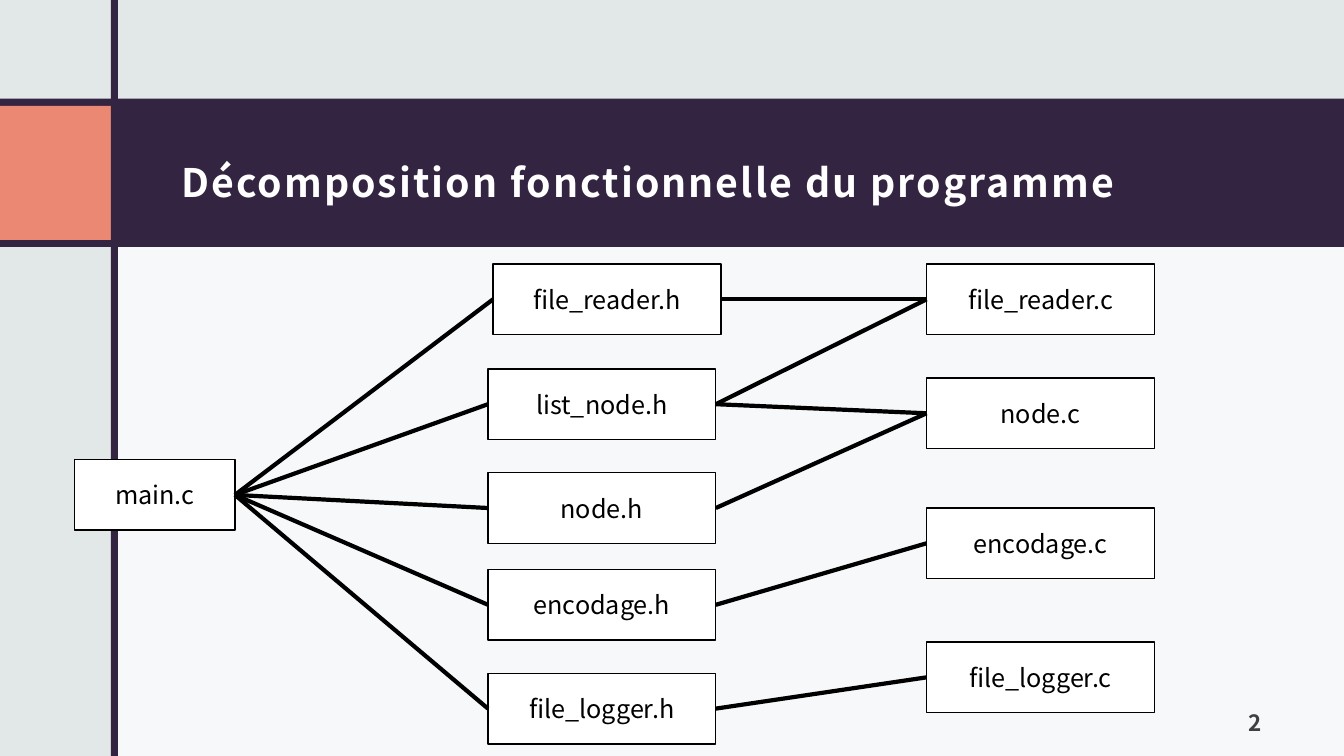
from dataclasses import dataclass

from lxml import etree
from pptx import Presentation
from pptx import util as u
from pptx.dml.color import RGBColor
from pptx.enum import shapes, text
from pptx.oxml.ns import qn


@dataclass(frozen=True)
class Theme:
    font: str = "Noto Sans CJK JP"
    back: str = "E2E7E8"
    white: str = "FFFFFF"
    purple: str = "332441"
    coral: str = "EA8873"
    grey: str = "404040"
    black: str = "000000"
    title_size: int = 28
    number_size: int = 16
    box_size: int = 18


THEME = Theme()
LEFT_SITE, RIGHT_SITE = 1, 3
BOX_HEIGHT = 0.7

# File name: left, top, width
FILES = {
    "main.c": (0.74, 4.56, 1.59),
    "file_reader.h": (4.89, 2.62, 2.26),
    "list_node.h": (4.84, 3.66, 2.26),
    "node.h": (4.84, 4.69, 2.26),
    "encodage.h": (4.84, 5.65, 2.26),
    "file_logger.h": (4.84, 6.68, 2.26),
    "file_reader.c": (9.19, 2.62, 2.26),
    "node.c": (9.19, 3.75, 2.26),
    "encodage.c": (9.19, 5.04, 2.26),
    "file_logger.c": (9.19, 6.37, 2.26),
}

# Each file and the files it is joined to on its right
LINKS = {
    "main.c": ["file_reader.h", "list_node.h", "node.h", "encodage.h", "file_logger.h"],
    "file_reader.h": ["file_reader.c"],
    "list_node.h": ["file_reader.c", "node.c"],
    "node.h": ["node.c"],
    "encodage.h": ["encodage.c"],
    "file_logger.h": ["file_logger.c"],
}


def rgb(color):
    return RGBColor.from_string(color)


def add_rect(s, left, top, width, height, color, alpha=None):
    sp = s.shapes.add_shape(shapes.MSO_SHAPE.RECTANGLE, u.Inches(left),
                            u.Inches(top), u.Inches(width), u.Inches(height))
    sp.shadow.inherit = False
    sp.fill.solid()
    sp.fill.fore_color.rgb = rgb(color)
    sp.line.fill.background()
    if alpha is not None:
        clr = sp.element.spPr.find(".//" + qn("a:srgbClr"))
        etree.SubElement(clr, qn("a:alpha")).set("val", str(alpha * 1000))
    return sp


def write(sp, words, size, color, align, anchor, bold=False, spacing=None):
    tf = sp.text_frame
    tf.text = words
    tf.word_wrap = True
    tf.auto_size = text.MSO_AUTO_SIZE.NONE
    tf.vertical_anchor = anchor
    p = tf.paragraphs[0]
    p.alignment = align
    r = p.runs[0]
    r.font.name = THEME.font
    r.font.size = u.Pt(size)
    r.font.bold = bold
    r.font.color.rgb = rgb(color)
    if spacing is not None:
        r.font._element.set("spc", str(int(spacing * 100)))
    return tf


def set_insets(tf):
    tf.margin_left = tf.margin_right = tf.margin_top = u.Inches(0.12)
    tf.margin_bottom = u.Inches(0.1)


def add_file_box(s, name, left, top, width):
    sp = add_rect(s, left, top, width, BOX_HEIGHT, THEME.white)
    sp.line.color.rgb = rgb(THEME.black)
    sp.line.width = u.Pt(1)
    write(sp, name, THEME.box_size, THEME.black, text.PP_ALIGN.CENTER,
          text.MSO_ANCHOR.MIDDLE)
    return sp


def add_link(s, start, end):
    c = s.shapes.add_connector(shapes.MSO_CONNECTOR.STRAIGHT, 0, 0, 0, 0)
    c.begin_connect(start, RIGHT_SITE)
    c.end_connect(end, LEFT_SITE)
    c.line.color.rgb = rgb(THEME.black)
    c.line.width = u.Pt(3)
    etree.SubElement(c.element.spPr, qn("a:effectLst"))


def add_title(s, words):
    sp = s.shapes.title
    sp.left, sp.top = u.Inches(1.68), u.Inches(1.14)
    sp.width, sp.height = u.Inches(10.95), u.Inches(1.13)
    tf = write(sp, words, THEME.title_size, THEME.white, text.PP_ALIGN.LEFT,
               text.MSO_ANCHOR.MIDDLE, bold=True, spacing=1.5)
    set_insets(tf)
    tf.paragraphs[0].line_spacing = 1.4
    # Bring the title in front of its band
    s.shapes.element.append(sp.element)


def add_number(s, number):
    sp = s.shapes.add_textbox(u.Inches(11.56), u.Inches(6.9),
                              u.Inches(1.07), u.Inches(0.5))
    tf = write(sp, number, THEME.number_size, THEME.grey, text.PP_ALIGN.RIGHT,
               text.MSO_ANCHOR.BOTTOM, bold=True, spacing=1.5)
    set_insets(tf)
    tf.paragraphs[0].space_after = u.Pt(6)


def main():
    prs = Presentation()
    prs.slide_width, prs.slide_height = u.Inches(13.33), u.Inches(7.5)
    s = prs.slides.add_slide(prs.slide_layouts[5])
    s.background.fill.solid()
    s.background.fill.fore_color.rgb = rgb(THEME.back)

    # Frame: content panel, title band, accent and vertical bar
    add_rect(s, 1.14, 2.33, 12.19, 5.17, THEME.white, alpha=75)
    add_rect(s, 0, 0.98, 13.33, 1.47, THEME.purple)
    add_title(s, "Décomposition fonctionnelle du programme")
    add_rect(s, 0, 1.05, 1.1, 1.33, THEME.coral)
    add_rect(s, 1.1, 0, 0.07, 7.5, THEME.purple)
    add_number(s, "2")

    # File diagram
    boxes = {name: add_file_box(s, name, *place) for name, place in FILES.items()}
    for start, ends in LINKS.items():
        for end in ends:
            add_link(s, boxes[start], boxes[end])

    prs.save("out.pptx")


if __name__ == "__main__":
    main()
